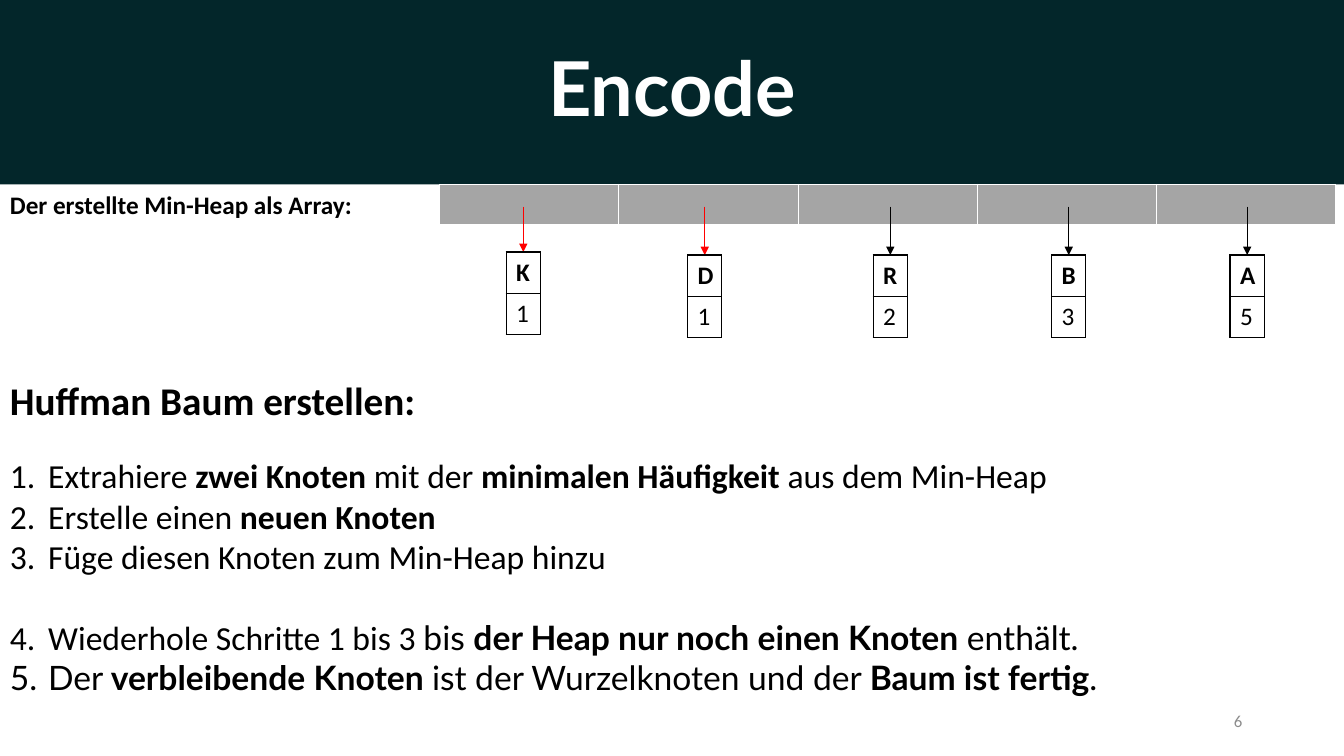
from pptx import Presentation
from pptx.dml.color import RGBColor
from pptx.enum.shapes import MSO_CONNECTOR, MSO_SHAPE
from pptx.enum.text import MSO_ANCHOR, PP_ALIGN
from pptx.oxml.ns import qn
from pptx.util import Inches, Pt
from lxml import etree

STRAIGHT = MSO_CONNECTOR.STRAIGHT
RECTANGLE = MSO_SHAPE.RECTANGLE
TOP, MIDDLE = MSO_ANCHOR.TOP, MSO_ANCHOR.MIDDLE
LEFT, CENTER, RIGHT = PP_ALIGN.LEFT, PP_ALIGN.CENTER, PP_ALIGN.RIGHT

# Content
TITLE = "Encode"
ARRAY_LABEL = "Der erstellte Min-Heap als Array:"
HEADING = "Huffman Baum erstellen:"
PAGE_NUMBER = "6"
# letter, frequency, left, top, arrow colour
NODES = [
    ("K", "1", 5.02, 2.5, "FF0000"),
    ("D", "1", 6.82, 2.53, "FF0000"),
    ("R", "2", 8.66, 2.53, "000000"),
    ("B", "3", 10.43, 2.53, "000000"),
    ("A", "5", 12.2, 2.53, "000000"),
]
# Each step: space after in points, then spans of (text, bold, font)
STEPS = [
    (0, [("Extrahiere ", False, "Calibri"), ("zwei Knoten", True, "Calibri"),
         (" mit der ", False, "Calibri"), ("minimalen Häufigkeit ", True, "Calibri"),
         ("aus dem Min-Heap", False, "Calibri")]),
    (0, [("Erstelle einen ", False, "Calibri"), ("neuen Knoten", True, "Calibri")]),
    (29, [("Füge diesen Knoten zum Min-Heap hinzu", False, "Calibri")]),
    (0, [("Wiederhole Schritte 1 bis 3 ", False, "Calibri"), ("bis ", False, "Lato"),
         ("der Heap nur noch einen Knoten", True, "Lato"), (" enthält.", False, "Lato")]),
    (0, [("Der", False, "Lato"), (" verbleibende Knoten ", True, "Lato"),
         ("ist der Wurzelknoten und der ", False, "Lato"),
         ("Baum ist fertig", True, "Lato"), (".", False, "Lato")]),
]

# Layout in inches
WIDTH, HEIGHT = 13.33, 7.5
BANNER_HEIGHT = 1.83
ARRAY_LEFT, ARRAY_WIDTH = 4.36, 8.89
ROW_HEIGHT, NODE_WIDTH = 0.41, 0.34
ARROW_TOP = 2.05
STEP_INDENT = 0.38


def color(value):
    return RGBColor.from_string(value)


def set_font(target, size, bold=False, name="Calibri", fill="000000"):
    font = target.font
    font.size, font.bold, font.name = Pt(size), bold, name
    font.color.rgb = color(fill)


def add_text(page, area, text, size, bold=False, fill="000000", align=LEFT, anchor=TOP):
    box = page.shapes.add_textbox(*map(Inches, area))
    frame = box.text_frame
    frame.word_wrap, frame.vertical_anchor = True, anchor
    para = frame.paragraphs[0]
    para.text, para.alignment = text, align
    set_font(para, size, bold, fill=fill)
    return frame


def style_cell(cell, fill, border, bottom=1):
    properties = cell._tc.get_or_add_tcPr()
    for side, points in (("lnL", 1), ("lnR", 1), ("lnT", 1), ("lnB", bottom)):
        line = etree.SubElement(properties, qn("a:" + side), w=str(Pt(points)))
        solid = etree.SubElement(line, qn("a:solidFill"))
        etree.SubElement(solid, qn("a:srgbClr"), val=border)
    cell.fill.solid()
    cell.fill.fore_color.rgb = color(fill)


def add_table(page, rows, columns, left, top, width):
    area = map(Inches, (left, top, width, rows * ROW_HEIGHT))
    return page.shapes.add_table(rows, columns, *area).table


def add_arrow(page, x, end, fill):
    arrow = page.shapes.add_connector(STRAIGHT, *map(Inches, (x, ARROW_TOP, x, end)))
    arrow.line.width = Pt(0.5)
    arrow.line.color.rgb = color(fill)
    etree.SubElement(arrow.line._get_or_add_ln(), qn("a:tailEnd"), type="triangle")
    etree.SubElement(arrow._element.spPr, qn("a:effectLst"))


def add_node(page, letter, frequency, left, top):
    table = add_table(page, 2, 1, left, top, NODE_WIDTH)
    for row, (text, bold) in enumerate(((letter, True), (frequency, False))):
        cell = table.cell(row, 0)
        style_cell(cell, "FFFFFF", "000000")
        cell.text = text
        set_font(cell.text_frame.paragraphs[0], 18, bold)


def add_step(frame, space_after, spans):
    para = frame.add_paragraph()
    properties = para._p.get_or_add_pPr()
    properties.set("marL", str(Inches(STEP_INDENT)))
    properties.set("indent", str(-Inches(STEP_INDENT)))
    etree.SubElement(properties, qn("a:buFont"), typeface="+mj-lt")
    etree.SubElement(properties, qn("a:buAutoNum"), type="arabicPeriod")
    para.space_after = Pt(space_after)
    for text, bold, name in spans:
        span = para.add_run()
        span.text = text
        set_font(span, 24, bold, name)


deck = Presentation()
deck.slide_width, deck.slide_height = Inches(WIDTH), Inches(HEIGHT)
page = deck.slides.add_slide(deck.slide_layouts[6])

# Title banner
banner = page.shapes.add_shape(RECTANGLE, 0, 0, Inches(WIDTH), Inches(BANNER_HEIGHT))
banner.shadow.inherit = False
banner.fill.solid()
banner.fill.fore_color.rgb = color("03262A")
banner.line.fill.background()
banner.text_frame.vertical_anchor = MIDDLE
title = banner.text_frame.paragraphs[0]
title.text, title.alignment, title.line_spacing = TITLE, CENTER, 0.9
set_font(title, 54, True, "Lato", "FFFFFF")

# Heap array with its nodes
array = add_table(page, 1, len(NODES), ARRAY_LEFT, BANNER_HEIGHT, ARRAY_WIDTH)
for cell in array.iter_cells():
    style_cell(cell, "A5A5A5", "FFFFFF", bottom=3)
for letter, frequency, left, top, arrow_color in NODES:
    add_arrow(page, left + NODE_WIDTH / 2, top, arrow_color)
    add_node(page, letter, frequency, left, top)
add_text(page, (0, BANNER_HEIGHT, ARRAY_LEFT, 0.4), ARRAY_LABEL, 18, True)

# Steps of the algorithm
steps = add_text(page, (0, 3.68, WIDTH, 3.3), HEADING, 28, True)
steps.paragraphs[0].space_after = Pt(23)
for space_after, spans in STEPS:
    add_step(steps, space_after, spans)

# Page number
add_text(page, (9.42, 6.95, 3, 0.4), PAGE_NUMBER, 12, fill="8C8C8C", align=RIGHT, anchor=MIDDLE)

deck.save("out.pptx")
